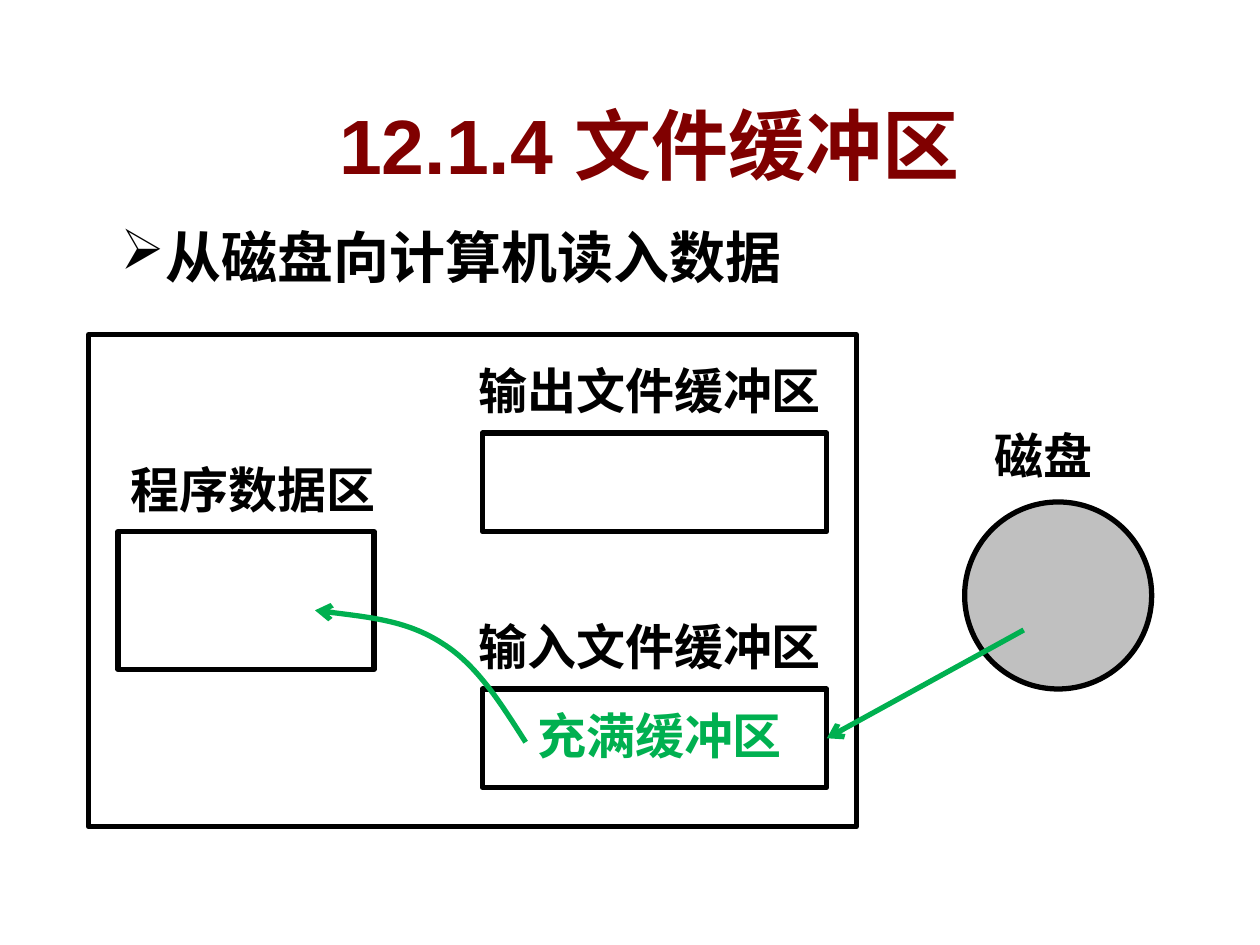
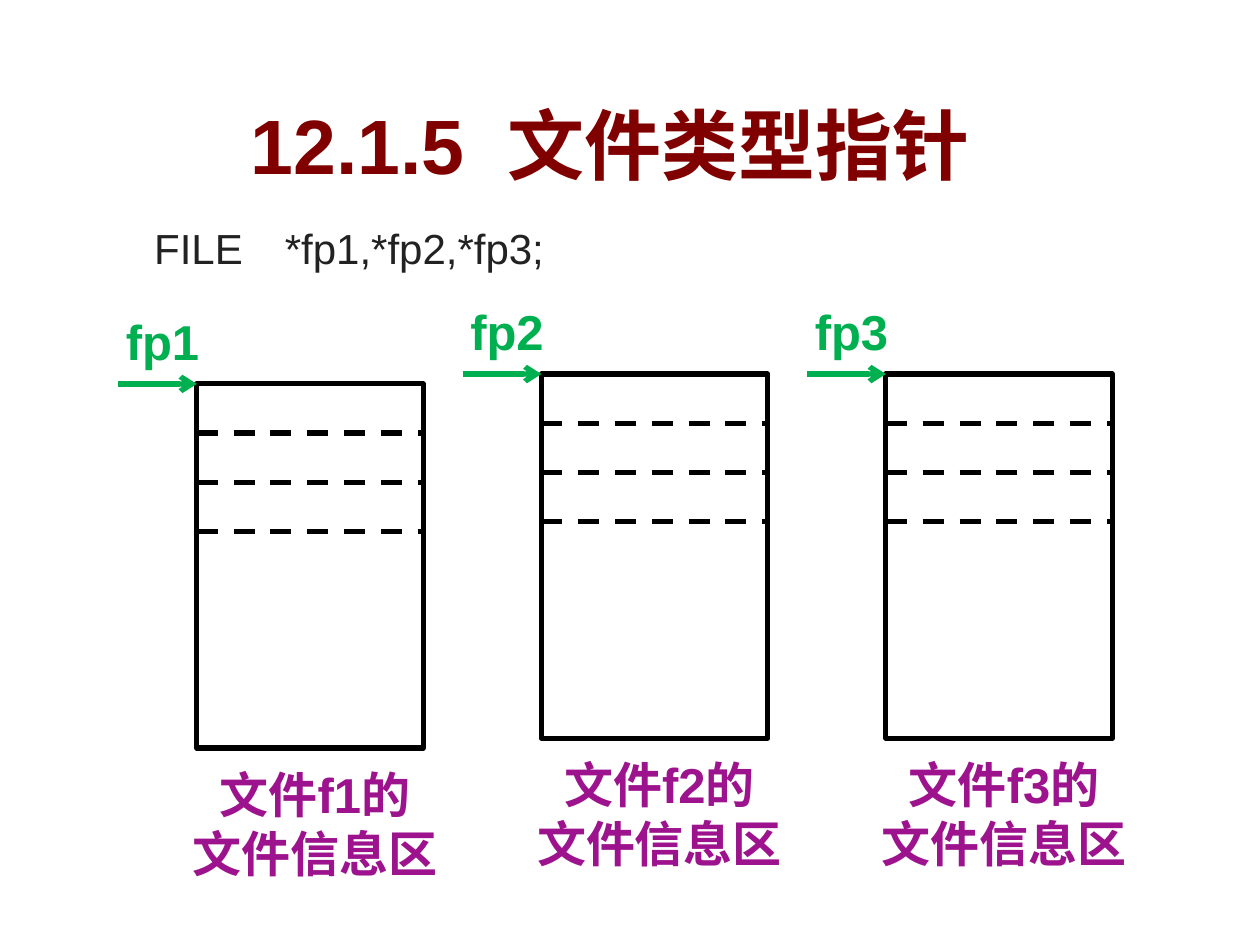
from dataclasses import dataclass
from typing import NamedTuple

from lxml.etree import SubElement
from pptx import Presentation
from pptx.dml.color import RGBColor
from pptx.enum.dml import MSO_LINE
from pptx.enum.shapes import MSO_CONNECTOR, MSO_SHAPE
from pptx.enum.text import MSO_ANCHOR, PP_ALIGN
from pptx.oxml.ns import qn
from pptx.util import Inches, Pt

WIDE, HIGH = Inches(10), Inches(7.5)
COLS, ROWS = 128, 96


@dataclass(frozen=True)
class Theme:
    font: str = "Arial"
    ink: str = "000000"
    head: str = "800000"
    code: str = "222222"
    flow: str = "00B050"
    info: str = "9D138D"
    disk: str = "C0C0C0"
    title: int = 44
    lead: int = 32
    label: int = 28
    small: int = 24
    stroke: int = 3
    space: float = 12.2


class Spot(NamedTuple):
    col: float
    row: float


class Area(NamedTuple):
    col: float
    row: float
    cols: float
    rows: float


class Piece(NamedTuple):
    text: str
    track: float = 0


class Label(NamedTuple):
    area: Area
    text: str
    color: str
    align: PP_ALIGN = PP_ALIGN.CENTER


class Record(NamedTuple):
    name: str
    spot: Spot


THEME = Theme()
LINE_H = 7.3
SIZE = Area(0, 0, 23, 37)
FIELD = 5

BOXES = [
    Area(9, 34, 78, 50),
    Area(12, 54, 26, 14),
    Area(49, 44, 35, 10),
    Area(49, 70, 35, 10),
]
LABELS = [
    Label(Area(12, 46, 29, LINE_H), "程序数据区", THEME.ink, PP_ALIGN.LEFT),
    Label(Area(46, 36, 40, LINE_H), "输出文件缓冲区", THEME.ink),
    Label(Area(46, 62, 40, LINE_H), "输入文件缓冲区", THEME.ink),
    Label(Area(98, 42.6, 16, LINE_H), "磁盘", THEME.ink),
    Label(Area(52, 71, 30, LINE_H), "充满缓冲区", THEME.flow),
]
CURVE = [
    Spot(53.4, 75.4), Spot(50.9, 71.5), Spot(48.5, 67.6), Spot(45, 65.4),
    Spot(41.5, 63.1), Spot(36.7, 62.6), Spot(32, 62),
]
FILES = [
    Record(str(i + 1), Spot(20 + 35 * i, 38 if i else 39)) for i in range(3)
]


def across(cols: float) -> int:
    return round(WIDE * cols / COLS)


def down(rows: float) -> int:
    return round(HIGH * rows / ROWS)


def frame(area: Area) -> tuple[int, int, int, int]:
    return across(area.col), down(area.row), across(area.cols), down(area.rows)


def paint(line, color: str) -> None:
    line.color.rgb = RGBColor.from_string(color)
    line.width = Pt(THEME.stroke)


def point(shape) -> None:
    edge = shape.line._get_or_add_ln()
    SubElement(edge, qn("a:tailEnd"), type="arrow")


def write(slide, area: Area, rows: list[list[Piece]], size: int, color: str,
          bold: bool = True, align: PP_ALIGN = PP_ALIGN.CENTER):
    box = slide.shapes.add_textbox(*frame(area))
    body = box.text_frame
    body.word_wrap = True
    for i, row in enumerate(rows):
        para = body.add_paragraph() if i else body.paragraphs[0]
        para.alignment = align
        for piece in row:
            run = para.add_run()
            run.text = piece.text
            run.font.name = THEME.font
            run.font.size = Pt(size)
            run.font.bold = bold
            run.font.color.rgb = RGBColor.from_string(color)
            if piece.track:
                run._r.get_or_add_rPr().set("spc", str(round(piece.track * 100)))
    return body


def mark(slide, label: Label) -> None:
    rows = [[Piece(text)] for text in label.text.split("\n")]
    write(slide, label.area, rows, THEME.label, label.color, align=label.align)


def head(slide, cols: float, code: str, text: str, track: float = 0) -> None:
    row = [Piece(code), Piece(" ", track), Piece(text)]
    body = write(slide, Area(4, 9.2, cols, 10.8), [row], THEME.title, THEME.head)
    body.vertical_anchor = MSO_ANCHOR.MIDDLE


def block(slide, area: Area, kind: MSO_SHAPE = MSO_SHAPE.RECTANGLE,
          fill: str = "") -> None:
    shape = slide.shapes.add_shape(kind, *frame(area))
    shape.shadow.inherit = False
    paint(shape.line, THEME.ink)
    if fill:
        shape.fill.solid()
        shape.fill.fore_color.rgb = RGBColor.from_string(fill)
    else:
        shape.fill.background()


def link(slide, start: Spot, end: Spot, color: str):
    line = slide.shapes.add_connector(
        MSO_CONNECTOR.STRAIGHT, across(start.col), down(start.row),
        across(end.col), down(end.row))
    SubElement(line._element.spPr, qn("a:effectLst"))
    paint(line.line, color)
    return line


def bend(slide, spots: list[Spot], color: str) -> None:
    first, *rest = [(across(s.col), down(s.row)) for s in spots]
    form = slide.shapes.build_freeform(*first)
    form.add_line_segments(rest, close=False)
    shape = form.convert_to_shape()
    legs = shape._element.xpath(".//a:lnTo")
    for i in range(0, len(legs), 3):
        lead, *others = legs[i:i + 3]
        lead.tag = qn("a:cubicBezTo")
        for leg in others:
            lead.append(leg[0])
            leg.getparent().remove(leg)
    shape.shadow.inherit = False
    shape.fill.background()
    paint(shape.line, color)
    point(shape)


def record(slide, item: Record) -> None:
    col, row = item.spot
    mark(slide, Label(Area(col - 2, row + SIZE.rows + 1, 28, 13.3),
                      f"文件f{item.name}的\n文件信息区", THEME.info))
    block(slide, SIZE._replace(col=col, row=row))
    for i in range(1, 4):
        level = row + FIELD * i
        line = link(slide, Spot(col, level), Spot(col + SIZE.cols, level), THEME.ink)
        line.line.dash_style = MSO_LINE.DASH
    mark(slide, Label(Area(col - 9, row - 8, 11, LINE_H),
                      f"fp{item.name}", THEME.flow))
    point(link(slide, Spot(col - 8, row), item.spot, THEME.flow))


def buffer(slide) -> None:
    head(slide, 124, "12.1.4", "文件缓冲区")
    for area in BOXES:
        block(slide, area)
    block(slide, Area(98, 51, 19, 19), MSO_SHAPE.OVAL, THEME.disk)
    body = write(slide, Area(11, 22, 82, 8.2), [[Piece("从磁盘向计算机读入数据")]],
                 THEME.lead, THEME.ink, align=PP_ALIGN.LEFT)
    props = body.paragraphs[0]._p.get_or_add_pPr()
    SubElement(props, qn("a:buChar"), char="➢")
    bend(slide, CURVE, THEME.flow)
    for label in LABELS:
        mark(slide, label)
    point(link(slide, Spot(104, 64), Spot(84, 75), THEME.flow))


def pointer(slide) -> None:
    head(slide, 116, "12.1.5", "文件类型指针", THEME.space)
    body = write(slide, Area(8, 22, 114, 12), [[Piece("FILE　*fp1,*fp2,*fp3;")]],
                 THEME.small, THEME.code, False, PP_ALIGN.LEFT)
    props = body.paragraphs[0]._p.get_or_add_pPr()
    props.set("marL", str(Inches(0.81)))
    props.set("indent", str(Inches(-0.31)))
    for item in FILES:
        record(slide, item)


def main() -> None:
    deck = Presentation()
    deck.slide_width, deck.slide_height = WIDE, HIGH
    for draw in (buffer, pointer):
        draw(deck.slides.add_slide(deck.slide_layouts[6]))
    deck.save("out.pptx")


if __name__ == "__main__":
    main()
